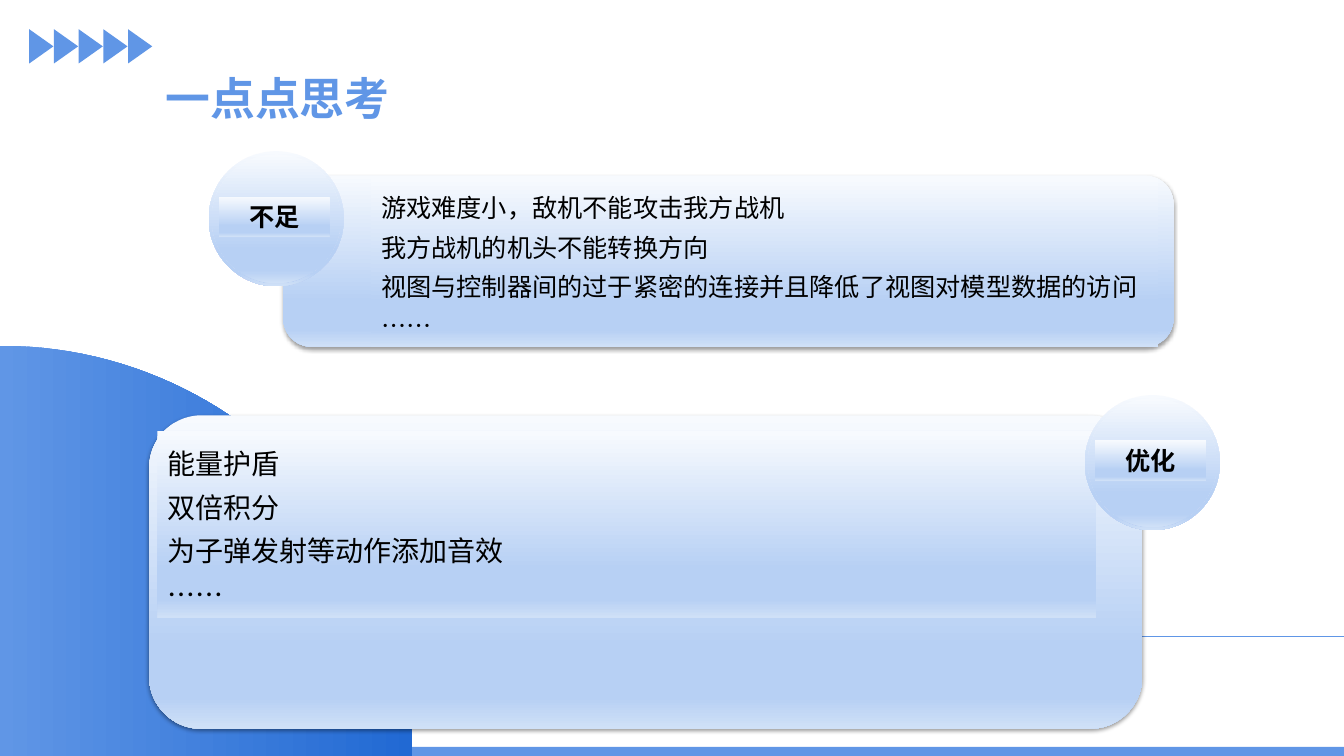
from pptx import Presentation
from pptx.dml.color import RGBColor
from pptx.enum.shapes import MSO_CONNECTOR, MSO_SHAPE
from pptx.enum.text import MSO_ANCHOR, MSO_AUTO_SIZE, PP_ALIGN
from pptx.oxml import parse_xml
from pptx.oxml.ns import nsdecls, qn
from pptx.util import Inches, Pt
from lxml.etree import SubElement

TITLE = "一点点思考"
SECTIONS = [
    {
        "heading": "不足",
        "points": ["游戏难度小，敌机不能攻击我方战机", "我方战机的机头不能转换方向",
                   "视图与控制器间的过于紧密的连接并且降低了视图对模型数据的访问", "……"],
        "card": (2.81, 1.74, 8.83, 1.7),
        "list": (3.68, 1.77, 7.81, 1.67),
        "badge": (2.07, 1.5),
        "style": "small_list",
    },
    {
        "heading": "优化",
        "points": ["能量护盾", "双倍积分", "为子弹发射等动作添加音效", "……"],
        "card": (1.48, 4.12, 9.85, 3.11),
        "list": (1.56, 4.28, 9.31, 1.85),
        "badge": (10.76, 3.92),
        "style": "large_list",
    },
]
THEME = {
    "font": "Noto Sans CJK SC",
    "accent": RGBColor.from_string("6096E6"),
    "ink": RGBColor.from_string("000000"),
    "glass": [(0, "F7FAFE"), (74, "B7D0F4"), (90, "B7D0F4"), (100, "CFE0F7")],
    "wave": [(0, "6096E6"), (100, "2169D3")],
    "title": {"size": Pt(32), "bold": True},
    "heading": {"size": Pt(18), "bold": True},
    "small_list": {"size": Pt(18), "bold": False},
    "large_list": {"size": Pt(20), "bold": False},
}
WIDTH, HEIGHT = 13.33, 7.5
ARROW_COUNT, ARROW_STEP = 5, 0.245
BADGE_SIZE, RING = 1.34, 0.03
WAVE_CURVE = [(0, 3.43), (2.24, 3.43), (4.06, 5.23), (4.09, 7.46)]
CURVE_STEPS = 48

PLAIN_FRAME = {"word_wrap": True, "auto_size": MSO_AUTO_SIZE.NONE}
LIST_FRAME = PLAIN_FRAME | {"vertical_anchor": MSO_ANCHOR.TOP}
MIDDLE_FRAME = PLAIN_FRAME | {"vertical_anchor": MSO_ANCHOR.MIDDLE}
LIST_PARAGRAPH = {"alignment": PP_ALIGN.LEFT, "line_spacing": 1.3, "space_before": Pt(0)}


def apply(target, values):
    for attribute, value in values.items():
        setattr(target, attribute, value)


def place(shape, box):
    apply(shape, dict(zip(("left", "top", "width", "height"), map(Inches, box))))


def gradient(shape, stops, degrees):
    marks = "".join(f'<a:gs pos="{at * 1000}"><a:srgbClr val="{color}"/></a:gs>'
                    for at, color in stops)
    shape._element.spPr.append(parse_xml(
        f'<a:gradFill {nsdecls("a")} rotWithShape="1"><a:gsLst>{marks}</a:gsLst>'
        f'<a:lin ang="{degrees * 60000}" scaled="0"/></a:gradFill>'))
    shape.line.fill.background()
    shape.shadow.inherit = False


def solid(shape):
    shape.fill.solid()
    shape.fill.fore_color.rgb = THEME["accent"]
    shape.line.fill.background()
    shape.shadow.inherit = False


def add_preset(kind, box):
    return slide.shapes.add_shape(kind, *map(Inches, box))


def add_glass(kind, box):
    shape = add_preset(kind, box)
    gradient(shape, THEME["glass"], 90)
    return shape


def write(shape, lines, style, color, frame_values, paragraph_values):
    frame = shape.text_frame
    apply(frame, frame_values)
    for number, line in enumerate(lines):
        paragraph = frame.add_paragraph() if number else frame.paragraphs[0]
        properties = paragraph._p.get_or_add_pPr()
        apply_margins = {"marL": "0", "indent": "0"}
        for key, value in apply_margins.items():
            properties.set(key, value)
        SubElement(properties, qn("a:buNone"))
        apply(paragraph, paragraph_values)
        run = paragraph.add_run()
        run.text = line
        apply(run.font, THEME[style] | {"name": THEME["font"]})
        run.font.color.rgb = color
        SubElement(run._r.get_or_add_rPr(), qn("a:ea"), typeface=THEME["font"])


def add_decoration():
    solid(add_preset(MSO_SHAPE.RECTANGLE, (0, 7.41, WIDTH, 0.09)))
    for number in range(ARROW_COUNT):
        arrow = add_preset(MSO_SHAPE.ISOSCELES_TRIANGLE,
                           (0.24 + number * ARROW_STEP, 0.34, 0.34, 0.24))
        arrow.rotation = 90
        solid(arrow)
    rule = slide.shapes.add_connector(MSO_CONNECTOR.STRAIGHT, Inches(11.14), Inches(6.31),
                                      Inches(WIDTH), Inches(6.31))
    rule.line.color.rgb = THEME["accent"]
    rule.line.width = Pt(0.5)
    SubElement(rule._element.spPr, qn("a:effectLst"))


def add_wave():
    points = []
    for step in range(CURVE_STEPS + 1):
        t = step / CURVE_STEPS
        weights = ((1 - t) ** 3, 3 * t * (1 - t) ** 2, 3 * t ** 2 * (1 - t), t ** 3)
        points.append(tuple(Inches(sum(w * knot[axis] for w, knot in zip(weights, WAVE_CURVE)))
                            for axis in (0, 1)))
    corners = [(Inches(x), Inches(HEIGHT)) for x in (4.09, 0)]
    outline = slide.shapes.build_freeform(*points[0])
    outline.add_line_segments(points[1:] + corners, close=True)
    gradient(outline.convert_to_shape(), THEME["wave"], 0)


def add_card(box):
    card = add_glass(MSO_SHAPE.ROUNDED_RECTANGLE, box)
    card._element.spPr.find(qn("a:effectLst")).append(parse_xml(
        f'<a:outerShdw {nsdecls("a")} blurRad="{Pt(3.1)}" dist="{Pt(1.6)}" dir="5400000" '
        'rotWithShape="0"><a:srgbClr val="000000"><a:alpha val="38000"/></a:srgbClr>'
        '</a:outerShdw>'))


def add_badge(left, top, heading):
    ring = add_glass(MSO_SHAPE.DONUT, (left, top, BADGE_SIZE, BADGE_SIZE))
    ring.adjustments[0] = 0.049
    disc = BADGE_SIZE - 2 * RING
    add_glass(MSO_SHAPE.OVAL, (left + RING, top + RING, disc, disc))
    label = add_glass(MSO_SHAPE.RECTANGLE, (left + 0.1, top + 0.45, 1.1, 0.4))
    write(label, [heading], "heading", THEME["ink"], MIDDLE_FRAME,
          {"alignment": PP_ALIGN.CENTER})


def add_section(section, body):
    add_card(section["card"])
    place(body, section["list"])
    gradient(body, THEME["glass"], 90)
    write(body, section["points"], section["style"], THEME["ink"], LIST_FRAME, LIST_PARAGRAPH)
    slide.shapes._spTree.append(body._element)
    add_badge(*section["badge"], section["heading"])


deck = Presentation()
apply(deck, {"slide_width": Inches(WIDTH), "slide_height": Inches(HEIGHT)})
slide = deck.slides.add_slide(deck.slide_layouts[3])
title, *bodies = slide.placeholders
add_decoration()
add_wave()
place(title, (1.54, 0.55, 6.08, 0.84))
write(title, [TITLE], "title", THEME["accent"], MIDDLE_FRAME, {"alignment": PP_ALIGN.LEFT})
for section, body in zip(SECTIONS, bodies):
    add_section(section, body)
deck.save("out.pptx")
